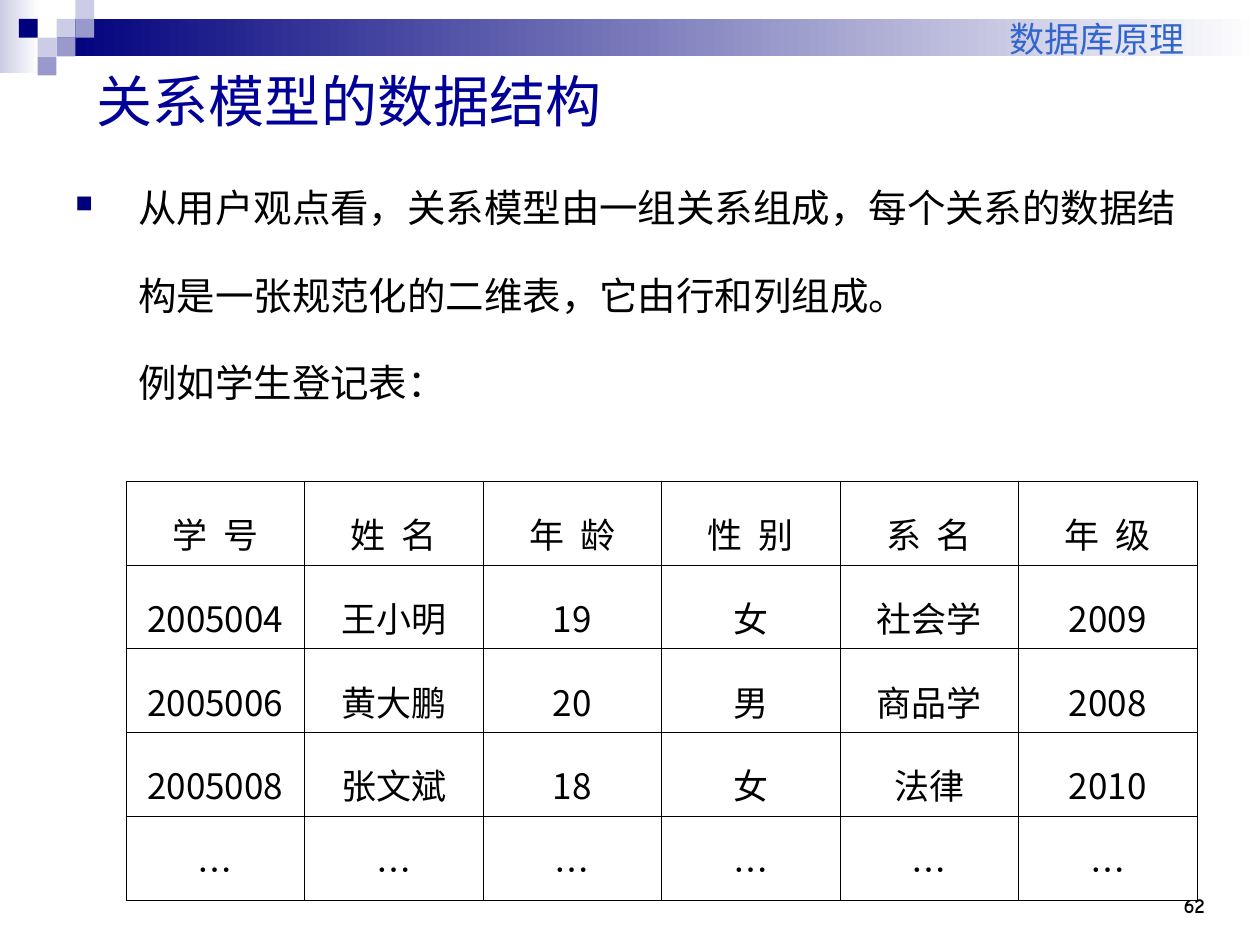
from dataclasses import dataclass

from lxml.etree import SubElement
from pptx import Presentation
from pptx.dml.color import RGBColor
from pptx.enum.shapes import MSO_SHAPE
from pptx.enum.text import MSO_ANCHOR, MSO_AUTO_SIZE, PP_ALIGN
from pptx.oxml.ns import qn
from pptx.shapes.autoshape import Shape
from pptx.slide import Slide
from pptx.table import _Cell
from pptx.text.text import TextFrame
from pptx.util import Cm, Pt

NAVY = RGBColor(0x00, 0x00, 0x7D)
TITLE_BLUE = RGBColor(0x00, 0x00, 0x99)
HEADER_BLUE = RGBColor(0x33, 0x66, 0xCC)
LAVENDER = RGBColor(0x99, 0x99, 0xCC)
PALE = RGBColor(0xCC, 0xCC, 0xE6)
BLACK = RGBColor(0x00, 0x00, 0x00)
WHITE = RGBColor(0xFF, 0xFF, 0xFF)

LATIN_FONT = "Comic Neue"
CJK_FONT = "Noto Sans CJK SC"
SQUARE = 0.38  # side of one mosaic square, cm

STUDENTS = [
    ["学  号", "姓  名", "年  龄", "性  别", "系  名", "年  级"],
    ["2005004", "王小明", "19", "女", "社会学", "2009"],
    ["2005006", "黄大鹏", "20", "男", "商品学", "2008"],
    ["2005008", "张文斌", "18", "女", "法律", "2010"],
    ["…"] * 6,
]


@dataclass(frozen=True)
class Box:
    """Position and size in centimetres."""
    left: float
    top: float
    width: float
    height: float

    def lengths(self) -> tuple[Cm, Cm, Cm, Cm]:
        return Cm(self.left), Cm(self.top), Cm(self.width), Cm(self.height)


@dataclass(frozen=True)
class MosaicSquare:
    column: int
    row: int
    color: RGBColor


@dataclass(frozen=True)
class TextStyle:
    size: float
    color: RGBColor
    font: str = LATIN_FONT
    bold: bool = False
    align: PP_ALIGN = PP_ALIGN.LEFT
    line_spacing: float = 1.0


MOSAIC = [
    MosaicSquare(3, 1, PALE),
    MosaicSquare(4, 0, PALE),
    MosaicSquare(4, 1, LAVENDER),
    MosaicSquare(2, 2, PALE),
    MosaicSquare(1, 1, NAVY),
    MosaicSquare(3, 2, LAVENDER),
    MosaicSquare(2, 3, LAVENDER),
]
TITLE_STYLE = TextStyle(32, TITLE_BLUE)
BODY_STYLE = TextStyle(22, BLACK, line_spacing=1.9)
HEADER_STYLE = TextStyle(20, HEADER_BLUE, align=PP_ALIGN.RIGHT)
NUMBER_STYLE = TextStyle(12, BLACK, bold=True, align=PP_ALIGN.RIGHT)
CELL_STYLE = TextStyle(20, BLACK, CJK_FONT, align=PP_ALIGN.CENTER, line_spacing=1.4)


def write(text_frame: TextFrame, text: str, style: TextStyle) -> None:
    text_frame.text = text
    text_frame.word_wrap = True
    paragraph = text_frame.paragraphs[0]
    paragraph.alignment = style.align
    paragraph.line_spacing = style.line_spacing
    paragraph.space_before = Pt(0)
    for run in paragraph.runs:
        run.font.size = Pt(style.size)
        run.font.name = style.font
        run.font.bold = style.bold
        run.font.color.rgb = style.color
        SubElement(run.font._element, qn("a:ea"), typeface=CJK_FONT)


def add_text(slide: Slide, box: Box, text: str, style: TextStyle,
             anchor: MSO_ANCHOR) -> TextFrame:
    text_frame = slide.shapes.add_textbox(*box.lengths()).text_frame
    write(text_frame, text, style)
    text_frame.vertical_anchor = anchor
    return text_frame


def add_rectangle(slide: Slide, box: Box) -> Shape:
    shape = slide.shapes.add_shape(MSO_SHAPE.RECTANGLE, *box.lengths())
    shape.shadow.inherit = False
    shape.line.fill.background()
    return shape


def add_fading_band(slide: Slide, box: Box, start: RGBColor) -> None:
    fill = add_rectangle(slide, box).fill
    fill.gradient()
    fill.gradient_angle = 0
    for stop, color in zip(fill.gradient_stops, (start, WHITE)):
        stop.color.rgb = color


def add_mosaic_square(slide: Slide, square: MosaicSquare) -> None:
    box = Box(square.column * SQUARE, square.row * SQUARE, SQUARE, SQUARE)
    fill = add_rectangle(slide, box).fill
    fill.solid()
    fill.fore_color.rgb = square.color


def add_square_bullet(text_frame: TextFrame) -> None:
    properties = text_frame.paragraphs[0]._p.get_or_add_pPr()
    properties.set("marL", str(Cm(1.27)))
    properties.set("indent", str(-Cm(1.27)))
    color = SubElement(properties, qn("a:buClr"))
    SubElement(color, qn("a:srgbClr"), val=str(NAVY))
    SubElement(properties, qn("a:buSzPct"), val="62000")
    SubElement(properties, qn("a:buChar"), char="■")


def format_cell(cell: _Cell, text: str) -> None:
    properties = cell._tc.get_or_add_tcPr()
    for side in ("lnL", "lnR", "lnT", "lnB"):
        border = SubElement(properties, qn(f"a:{side}"), w=str(Pt(0.45)))
        SubElement(SubElement(border, qn("a:solidFill")), qn("a:srgbClr"), val=str(BLACK))
    cell.fill.solid()
    cell.fill.fore_color.rgb = WHITE
    write(cell.text_frame, text, CELL_STYLE)


def add_student_table(slide: Slide, box: Box) -> None:
    table = slide.shapes.add_table(len(STUDENTS), len(STUDENTS[0]), *box.lengths()).table
    table.first_row = False
    table.horz_banding = False
    for row, values in zip(table.rows, STUDENTS):
        for cell, text in zip(row.cells, values):
            format_cell(cell, text)


def main() -> None:
    presentation = Presentation()
    presentation.slide_width, presentation.slide_height = Cm(25.4), Cm(19.05)
    slide = presentation.slides.add_slide(presentation.slide_layouts[5])

    # Header decoration
    add_fading_band(slide, Box(0, 0, 0.79, 1.47), PALE)
    add_fading_band(slide, Box(3 * SQUARE, SQUARE, 24.26, 2 * SQUARE), NAVY)
    for square in MOSAIC:
        add_mosaic_square(slide, square)

    # Page number and course name
    add_text(slide, Box(22.44, 17.35, 2.1, 1.27), "62", NUMBER_STYLE, MSO_ANCHOR.BOTTOM)
    course = add_text(slide, Box(9.72, 0, 15.04, 1.32), "数据库原理",
                      HEADER_STYLE, MSO_ANCHOR.BOTTOM)
    course.margin_right = Cm(0.88)

    # Title
    title = slide.shapes.title
    title.left, title.top, title.width, title.height = Box(1.7, 1.07, 22.86, 1.9).lengths()
    write(title.text_frame, "关系模型的数据结构", TITLE_STYLE)
    title.text_frame.vertical_anchor = MSO_ANCHOR.MIDDLE
    title.text_frame.auto_size = MSO_AUTO_SIZE.NONE

    # Explanation
    body = add_text(
        slide, Box(1.27, 2.75, 22.86, 14.81),
        "从用户观点看，关系模型由一组关系组成，每个关系的数据结构是一张规范化的二维表，"
        "它由行和列组成。\v例如学生登记表：",
        BODY_STYLE, MSO_ANCHOR.TOP)
    add_square_bullet(body)

    # Student register
    add_student_table(slide, Box(2.54, 9.7, 21.59, 8.45))

    presentation.save("out.pptx")


if __name__ == "__main__":
    main()
